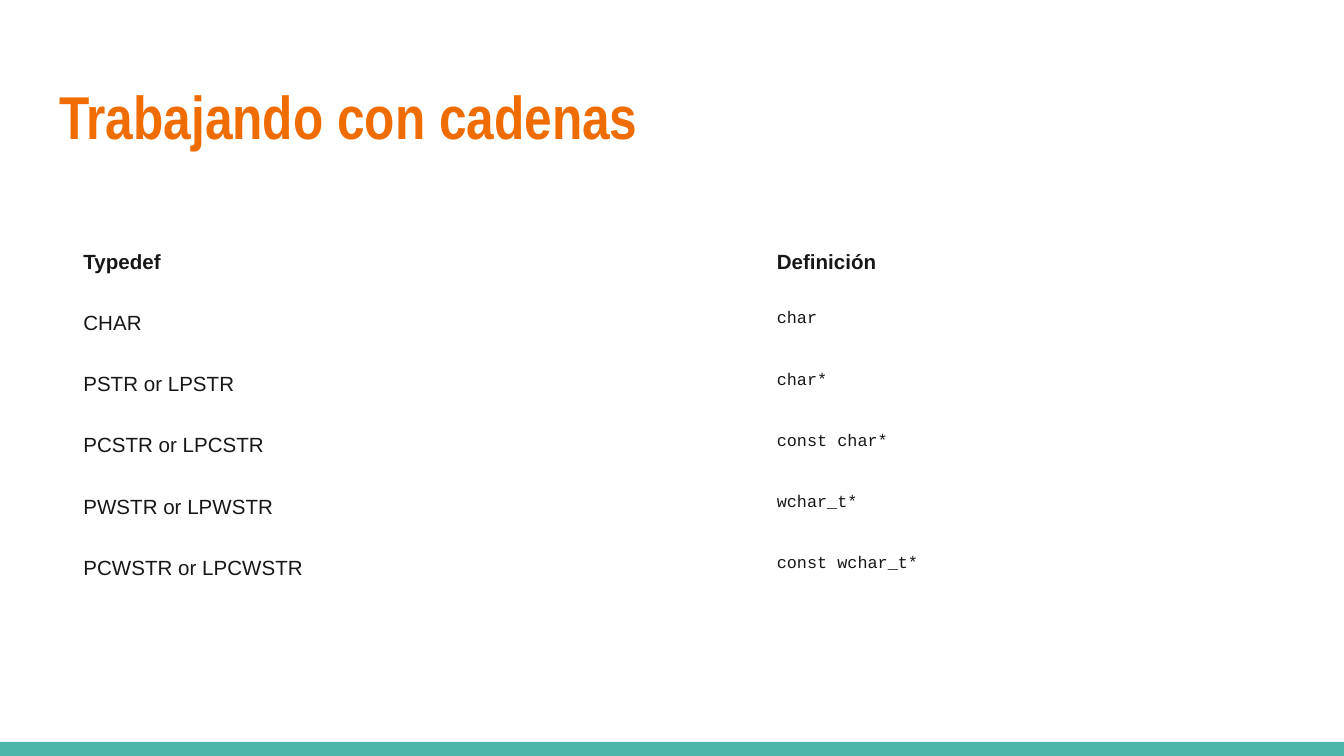
import pptx
import pptx.dml.color
import pptx.enum.shapes
import pptx.enum.text
import pptx.util
from pptx.dml.color import RGBColor
from pptx.util import Inches

ORANGE = RGBColor(0xEF, 0x6C, 0x00)
TEAL = RGBColor(0x4D, 0xB6, 0xAC)
INK = RGBColor(0x17, 0x17, 0x17)
WHITE = RGBColor(0xFF, 0xFF, 0xFF)

HEADINGS = ("Typedef", "Definición")
TYPEDEFS = [
    ("CHAR", "char"),
    ("PSTR or LPSTR", "char*"),
    ("PCSTR or LPCSTR", "const char*"),
    ("PWSTR or LPWSTR", "wchar_t*"),
    ("PCWSTR or LPCWSTR", "const wchar_t*"),
]
COLUMN_WIDTHS = (5.16, 3.8)
ROW_HEIGHT = 0.4
PADDING = Inches(0.1)


def set_padding(holder):
    holder.margin_left = holder.margin_right = PADDING
    holder.margin_top = holder.margin_bottom = PADDING


def style_text(paragraph, font_name, size, color, bold):
    paragraph.alignment = pptx.enum.text.PP_ALIGN.LEFT
    for run in paragraph.runs:
        run.font.name = font_name
        run.font.size = pptx.util.Pt(size)
        run.font.color.rgb = color
        run.font.bold = bold


def add_footer_band(slide):
    band = slide.shapes.add_shape(
        pptx.enum.shapes.MSO_SHAPE.RECTANGLE,
        Inches(0), Inches(5.52), Inches(10), Inches(0.11))
    band.shadow.inherit = False
    band.fill.solid()
    band.fill.fore_color.rgb = TEAL
    band.line.fill.background()


def set_title(slide, wording):
    title = slide.shapes.title
    title.left, title.top = Inches(0.34), Inches(0.49)
    title.width, title.height = Inches(9.32), Inches(0.77)
    frame = title.text_frame
    frame.text = wording
    frame.word_wrap = True
    frame.auto_size = pptx.enum.text.MSO_AUTO_SIZE.NONE
    frame.vertical_anchor = pptx.enum.text.MSO_ANCHOR.TOP
    set_padding(frame)
    style_text(frame.paragraphs[0], "Arial Narrow", 32.4, ORANGE, True)


def fill_cell(cell, wording, font_name, size, bold):
    cell.fill.solid()
    cell.fill.fore_color.rgb = WHITE
    cell.vertical_anchor = pptx.enum.text.MSO_ANCHOR.TOP
    set_padding(cell)
    cell.text_frame.text = wording
    paragraph = cell.text_frame.paragraphs[0]
    paragraph.line_spacing = 1.5
    style_text(paragraph, font_name, size, INK, bold)


def add_typedef_table(slide):
    rows = [HEADINGS] + TYPEDEFS
    table = slide.shapes.add_table(
        len(rows), len(HEADINGS), Inches(0.52), Inches(1.68),
        Inches(sum(COLUMN_WIDTHS)), Inches(ROW_HEIGHT * len(rows))).table
    table.first_row = table.horz_banding = False
    for column, width in zip(table.columns, COLUMN_WIDTHS):
        column.width = Inches(width)
    for row_index, wordings in enumerate(rows):
        table.rows[row_index].height = Inches(ROW_HEIGHT)
        is_heading = row_index == 0
        for column_index, wording in enumerate(wordings):
            is_code = column_index == 1 and not is_heading
            font_name, size = ("Courier New", 9) if is_code else ("Arial", 11)
            fill_cell(table.cell(row_index, column_index), wording,
                      font_name, size, is_heading)


def main():
    deck = pptx.Presentation()
    deck.slide_width = Inches(10)
    deck.slide_height = deck.slide_width * 9 // 16
    slide = deck.slides.add_slide(deck.slide_layouts[5])
    add_footer_band(slide)
    set_title(slide, "Trabajando con cadenas")
    add_typedef_table(slide)
    deck.save("out.pptx")


if __name__ == "__main__":
    main()
